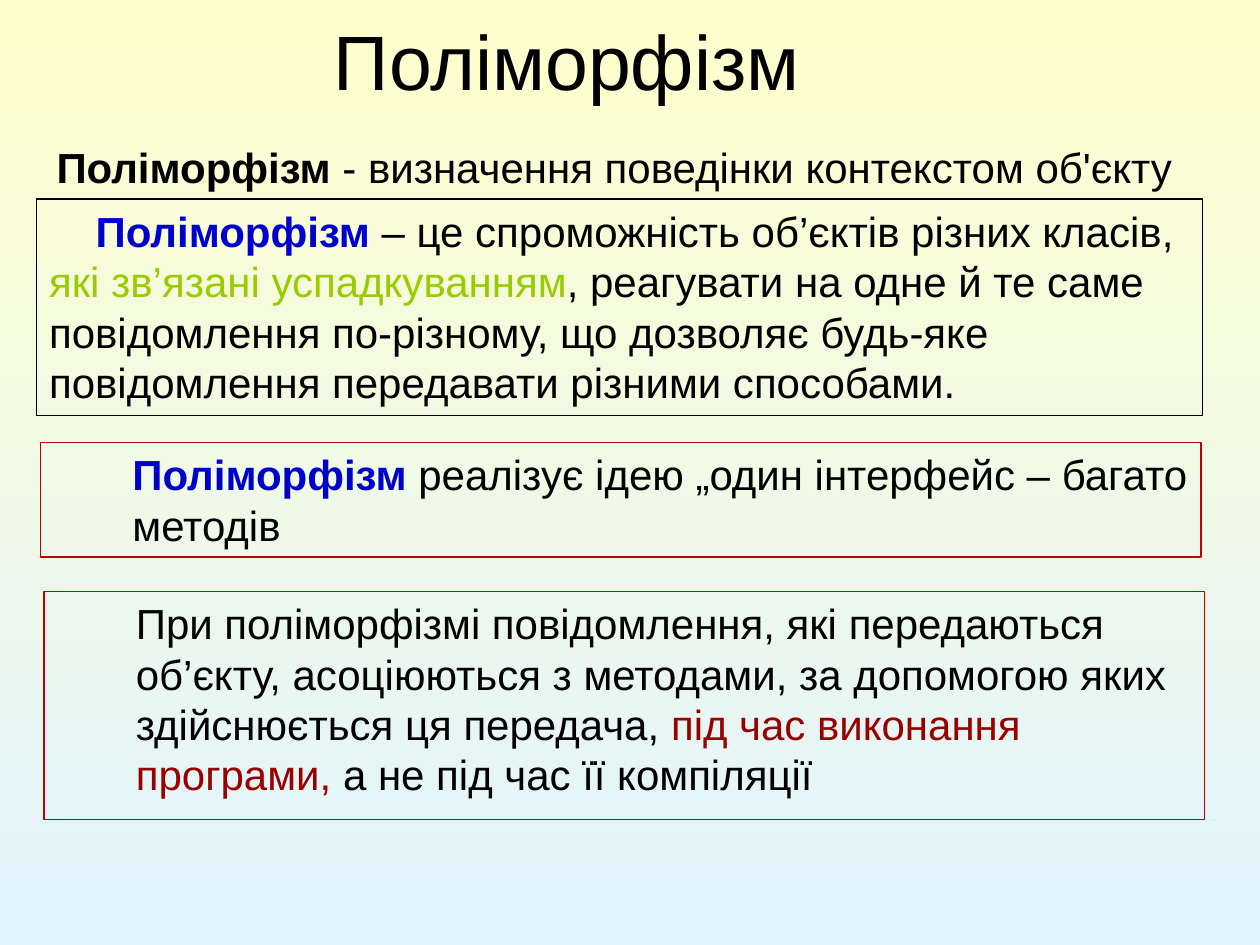
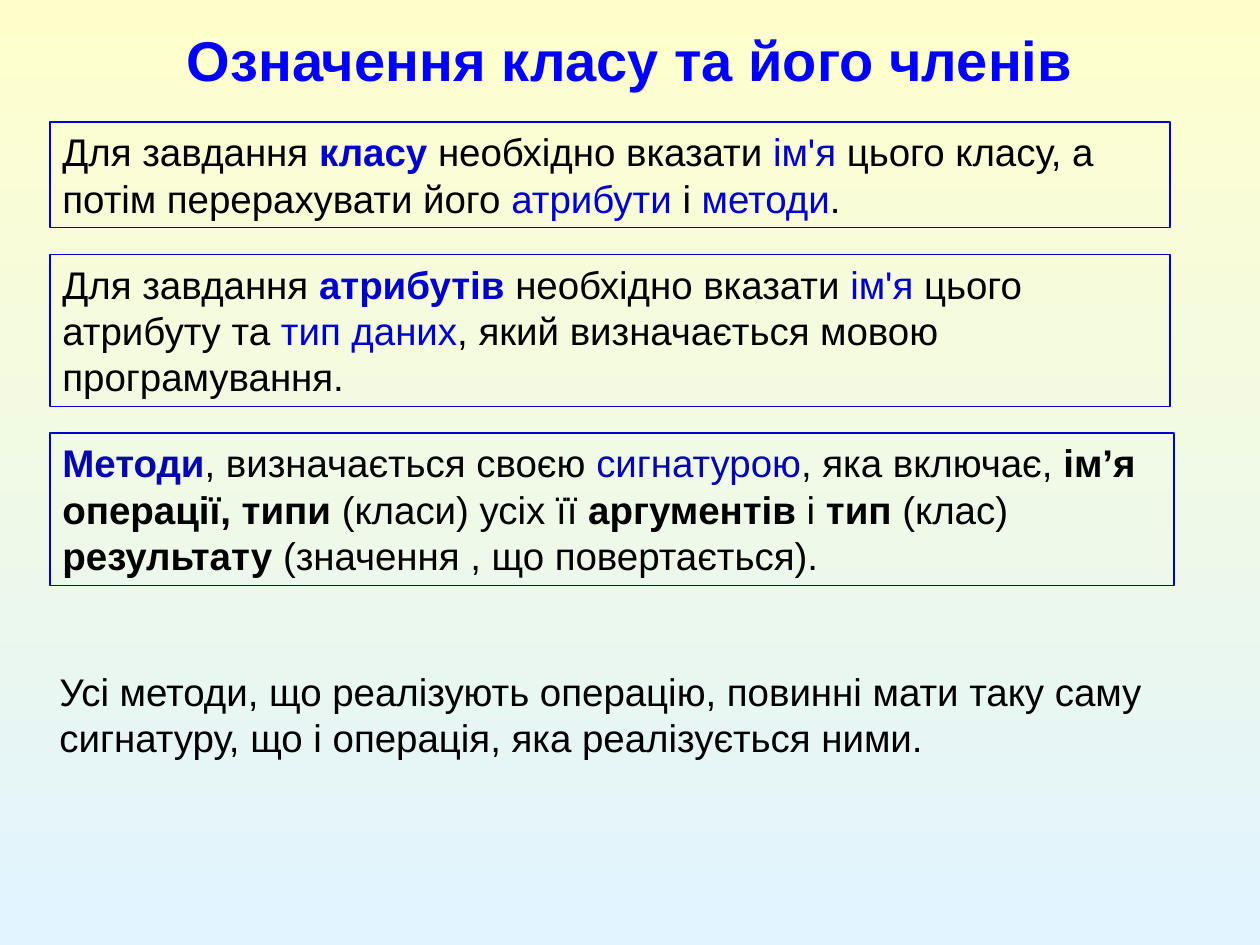
"""Build two slides on polymorphism and on defining a class and its members."""
from pptx import Presentation
from pptx.dml.color import RGBColor
from pptx.enum import shapes, text
from pptx.util import Cm, Pt

HUES = {"top": "FFFFCC", "base": "E1F4FF", "ink": "000000", "title": "0000FF",
        "blue": "0000CC", "navy": "0606AE", "green": "99CC00",
        "wine": "990000", "red": "C00000"}
FRAME = {"word_wrap": True, "auto_size": text.MSO_AUTO_SIZE.NONE,
         "margin_left": Cm(0.25), "margin_right": Cm(0.25),
         "margin_top": Cm(0.13), "margin_bottom": Cm(0.13)}


def hue(name):
    return RGBColor.from_string(HUES[name])


def write(shape, runs, size, align, anchor):
    frame = shape.text_frame
    for key, value in {**FRAME, "vertical_anchor": anchor}.items():
        setattr(frame, key, value)
    para = frame.paragraphs[0]
    para.alignment = align
    for words, tint, bold in runs:
        run = para.add_run()
        run.text = words
        look = {"name": "Arial", "size": Pt(size), "bold": bold}
        for key, value in look.items():
            setattr(run.font, key, value)
        run.font.color.rgb = hue(tint)
    return para


PAGES = [
    {"title": ("Поліморфізм", "ink", False), "size": 44, "left": 0, "body": 24,
     "boxes": [
         ((0.89, 2.72, 23.39, 1.27), None, 0, 0, [
             ("Поліморфізм", "ink", True),
             (" - визначення поведінки контекстом об'єкту", "ink", False)]),
         ((0.74, 4.01, 23.5, 4.37), "ink", 0, 0.94, [
             ("Поліморфізм", "blue", True),
             (" – це спроможність об’єктів різних класів, ", "ink", False),
             ("які зв’язані успадкуванням", "green", False),
             (", реагувати на одне й те саме повідомлення по-різному, що "
              "дозволяє будь-яке повідомлення передавати різними способами.",
              "ink", False)]),
         ((0.82, 8.92, 23.39, 2.31), "red", 1.6, 0, [
             ("Поліморфізм ", "blue", True),
             ("реалізує ідею „один інтерфейс – багато методів", "ink", False)]),
         ((0.89, 11.92, 23.39, 4.6), "red", 1.6, 0, [
             ("При поліморфізмі повідомлення, які передаються об’єкту, "
              "асоціюються з методами, за допомогою яких здійснюється ця "
              "передача, ", "ink", False),
             ("під час виконання програми,", "wine", False),
             (" а не під час її компіляції", "ink", False)])]},
    {"title": ("Означення класу та його членів", "title", True),
     "size": 32, "left": 1.27, "body": 22,
     "boxes": [
         ((1.01, 2.46, 22.58, 2.13), "blue", 0, 0, [
             ("Для завдання ", "ink", False),
             ("класу ", "blue", True),
             ("необхідно вказати ", "ink", False),
             ("ім'я ", "blue", False),
             ("цього класу, а потім перерахувати його ", "ink", False),
             ("атрибути ", "blue", False),
             ("і ", "ink", False),
             ("методи", "blue", False),
             (".", "ink", False)]),
         ((1.01, 5.13, 22.58, 3.07), "blue", 0, 0, [
             ("Для завдання ", "ink", False),
             ("атрибутів ", "blue", True),
             ("необхідно вказати ", "ink", False),
             ("ім'я ", "blue", False),
             ("цього атрибуту та ", "ink", False),
             ("тип даних", "blue", False),
             (", який визначається мовою програмування.", "ink", False)]),
         ((1.01, 8.73, 22.66, 3.07), "blue", 0, 0, [
             ("Методи", "navy", True),
             (", визначається своєю ", "ink", False),
             ("сигнатурою", "navy", False),
             (", яка включає, ", "ink", False),
             ("ім’я операції, типи ", "ink", True),
             ("(класи) усіх її ", "ink", False),
             ("аргументів", "ink", True),
             (" і ", "ink", False),
             ("тип", "ink", True),
             (" (клас) ", "ink", False),
             ("результату", "ink", True),
             (" (значення , що повертається).", "ink", False)]),
         ((0.95, 13.33, 22.66, 2.13), None, 0, 0, [
             ("Усі методи, що реалізують операцію, повинні мати таку саму "
              "сигнатуру, що і операція, яка реалізується ними.",
              "ink", False)])]},
]

deck = Presentation()
deck.slide_width, deck.slide_height = Cm(25.4), Cm(19.05)
fill = deck.slide_master.background.fill
fill.gradient()
fill.gradient_angle = 270
for stop, name, place in zip(fill.gradient_stops, ("top", "base"), (0, 1)):
    stop.color.rgb = hue(name)
    stop.position = place

for page in PAGES:
    slide = deck.slides.add_slide(deck.slide_layouts[5])
    title = slide.shapes.title
    spot = {"left": page["left"], "top": 0.4, "width": 22.86, "height": 1.59}
    for key, value in spot.items():
        setattr(title, key, Cm(value))
    write(title, [page["title"]], page["size"],
          text.PP_ALIGN.CENTER, text.MSO_ANCHOR.MIDDLE)
    for area, edge, inset, first, runs in page["boxes"]:
        area = [Cm(side) for side in area]
        if edge:
            box = slide.shapes.add_shape(shapes.MSO_SHAPE.RECTANGLE, *area)
            box.shadow.inherit = False
            box.fill.background()
            box.line.color.rgb = hue(edge)
            box.line.width = Pt(0.75)
        else:
            box = slide.shapes.add_textbox(*area)
        para = write(box, runs, page["body"],
                     text.PP_ALIGN.LEFT, text.MSO_ANCHOR.TOP)
        props = para._p.get_or_add_pPr()
        props.set("marL", str(Cm(inset)))
        props.set("indent", str(Cm(first)))

deck.save("out.pptx")
